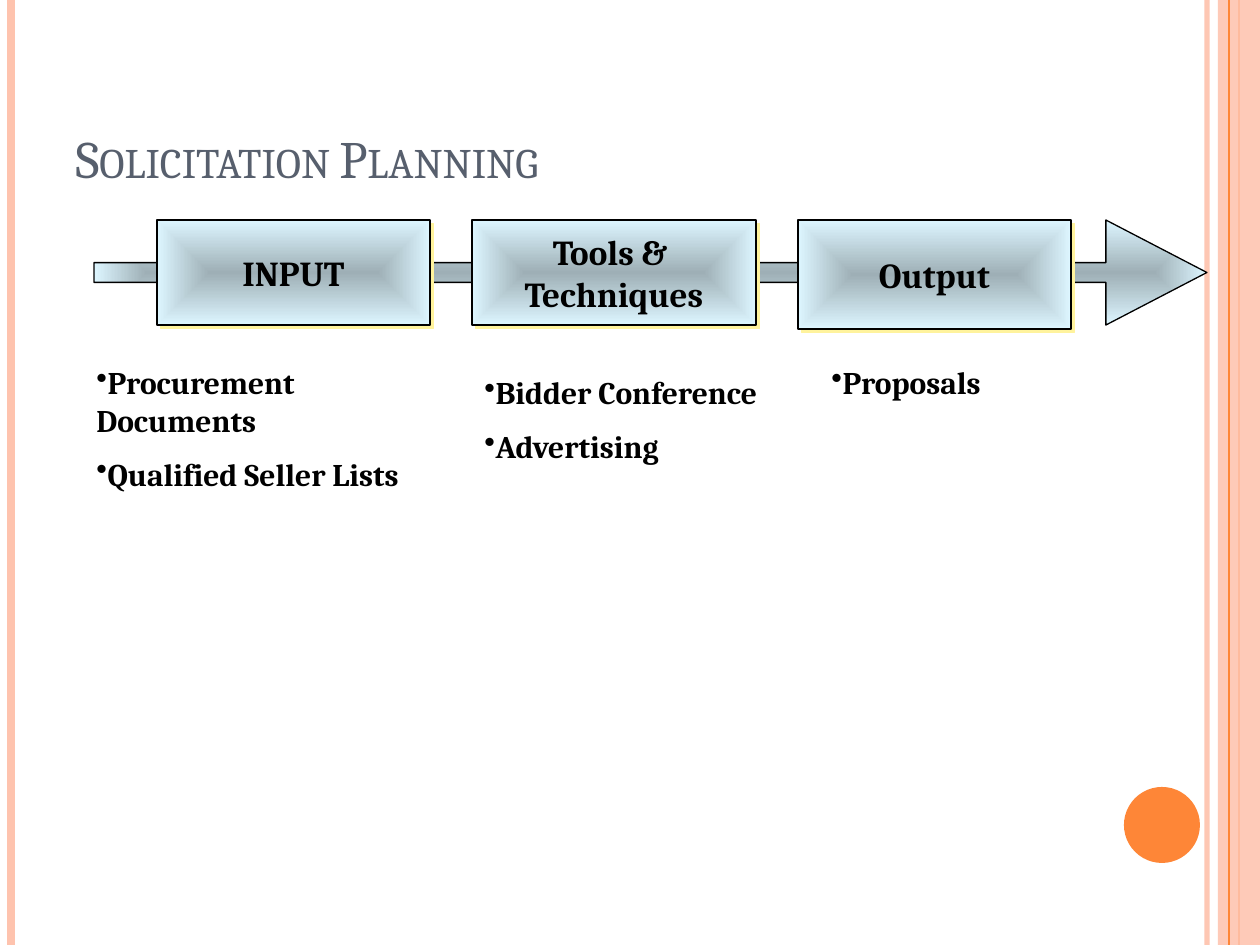
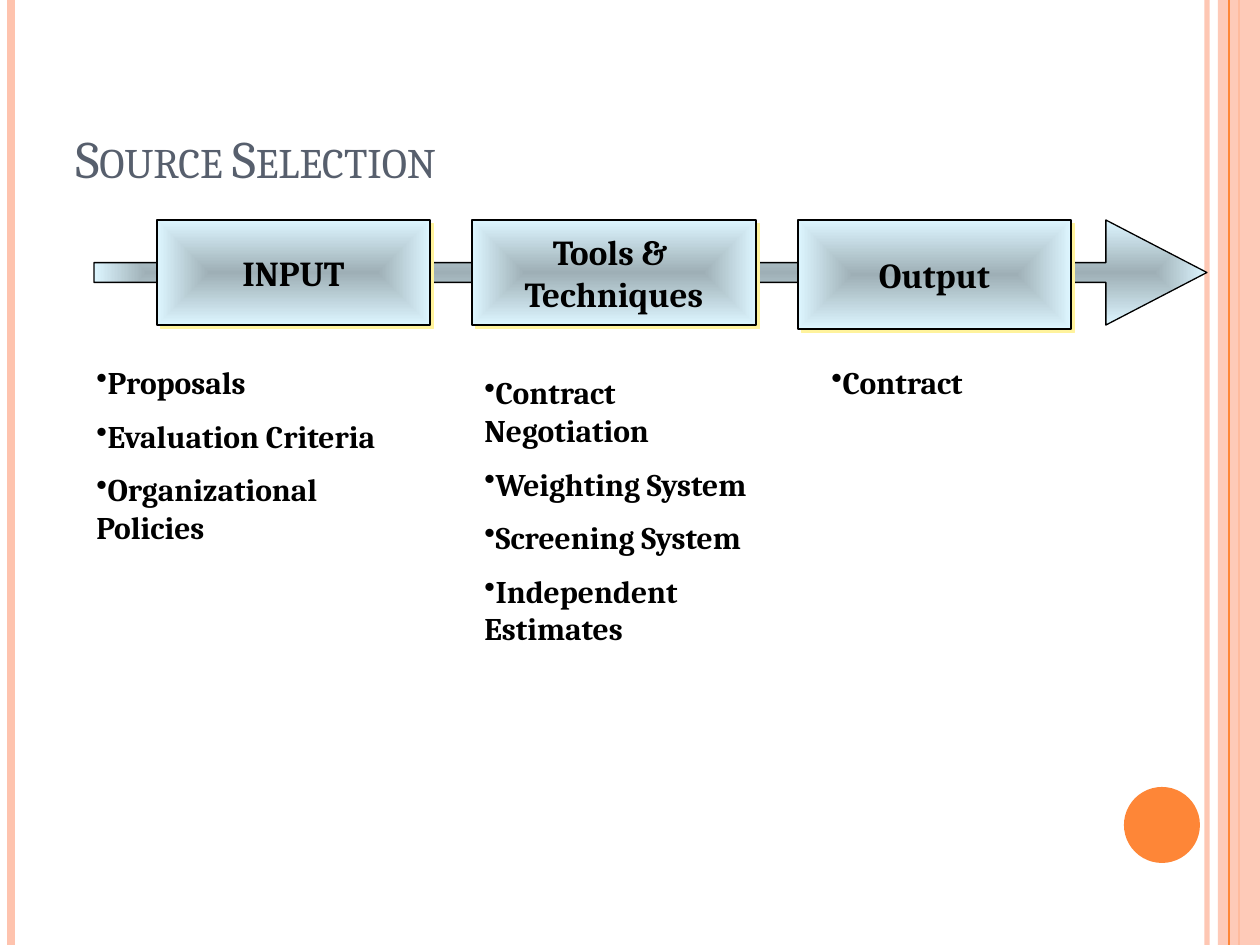
from lxml import etree
from pptx import Presentation
from pptx.dml.color import RGBColor
from pptx.enum.shapes import MSO_CONNECTOR as Connector, MSO_SHAPE as Shape
from pptx.enum.text import MSO_ANCHOR as Anchor, MSO_AUTO_SIZE as AutoSize, PP_ALIGN as Align
from pptx.oxml import parse_xml
from pptx.oxml.ns import nsdecls, qn
from pptx.util import Emu, Inches, Pt

PIXEL = 914400 // 126
PAGE_HEIGHT = 945
TITLE_ONLY = 5

PEACH = RGBColor(0xFE, 0xC3, 0xAE)
ORANGE = RGBColor(0xFE, 0x86, 0x37)
SLATE = RGBColor(0x57, 0x5F, 0x6D)
ICE = RGBColor(0xDD, 0xF6, 0xFF)
YELLOW = RGBColor(0xFF, 0xF3, 0x9D)
BLACK = RGBColor(0, 0, 0)

FONT = "Cambria"
TITLE_FORMAT = {"name": FONT, "size": Pt(30), "bold": False}
STAGE_FORMAT = {"name": FONT, "size": Pt(20), "bold": True}
LIST_FORMAT = {"name": FONT, "size": Pt(18), "bold": True}

TITLE_BOX = (63, 38, 1029, 157)
FLOW_BOX = (94, 220, 1113, 105)
LISTS_BOX = (84, 357, 1040, 300)

# Stage lines, offset from the flow box, width, height
STAGES = [
    (["INPUT"], 63, 273, 105),
    (["Tools & ", "Techniques"], 378, 284, 105),
    (["Output"], 704, 273, 109),
]
# Offset from the lists box (across, down), width
COLUMNS = [(0, 0, 347), (388, 10, 315), (735, 0, 305)]

PAGES = [
    ("Solicitation Planning", [
        ["Procurement Documents", "Qualified Seller Lists"],
        ["Bidder Conference", "Advertising"],
        ["Proposals"],
    ]),
    ("Source Selection", [
        ["Proposals", "Evaluation Criteria", "Organizational Policies"],
        ["Contract Negotiation", "Weighting System", "Screening System",
         "Independent Estimates"],
        ["Contract"],
    ]),
]


def scaled(*lengths):
    """Turn pixel lengths into EMU."""
    return [Emu(length * PIXEL) for length in lengths]


def set_format(font, values, color):
    """Apply a dict of format values and a colour to a font."""
    for name, value in values.items():
        setattr(font, name, value)
    font.color.rgb = color


def write_lines(frame, lines, values, color, align):
    """Write one paragraph a line and return the paragraphs."""
    for index, line in enumerate(lines):
        para = frame.add_paragraph() if index else frame.paragraphs[0]
        para.alignment = align
        span = para.add_run()
        span.text = line
        set_format(span.font, values, color)
    return frame.paragraphs


def set_alpha(element, percent):
    """Make the colour inside an element partly transparent."""
    color = next(element.iter(qn("a:srgbClr")))
    etree.SubElement(color, qn("a:alpha"), val=str(percent * 1000))


def add_block(page, kind, box, color):
    """Add a flat shape without outline."""
    block = page.shapes.add_shape(kind, *scaled(*box))
    block.shadow.inherit = False
    block.fill.solid()
    block.fill.fore_color.rgb = color
    block.line.fill.background()
    return block


def add_rule(page, x, color, width):
    """Add a vertical line over the whole page height."""
    rule = page.shapes.add_connector(Connector.STRAIGHT, *scaled(x, 0, x, PAGE_HEIGHT))
    rule.line.color.rgb = color
    rule.line.width = Pt(width)
    etree.SubElement(rule._element.spPr, qn("a:effectLst"))
    return rule


def add_steel(page, kind, box, path_kind):
    """Add an outlined shape that darkens towards its centre."""
    steel = page.shapes.add_shape(kind, *scaled(*box))
    steel.shadow.inherit = False
    steel.line.color.rgb = BLACK
    steel.line.width = Pt(0.75)
    steel.fill.gradient()
    properties = steel._element.spPr
    gradient = parse_xml(
        f'<a:gradFill {nsdecls("a")} rotWithShape="0"><a:gsLst>'
        f'<a:gs pos="0"><a:srgbClr val="{ICE}"><a:shade val="46275"/></a:srgbClr></a:gs>'
        f'<a:gs pos="100000"><a:srgbClr val="{ICE}"/></a:gs></a:gsLst>'
        f'<a:path path="{path_kind}">'
        '<a:fillToRect l="50000" t="50000" r="50000" b="50000"/></a:path></a:gradFill>')
    properties.replace(properties.find(qn("a:gradFill")), gradient)
    return steel


def add_frame(page):
    """Draw the bands, rules and disc that every page shares."""
    set_alpha(add_rule(page, 1207, PEACH, 3)._element.spPr, 93)
    add_rule(page, 11, PEACH, 4.5)
    add_rule(page, 1239, ORANGE, 1.5)
    band = add_block(page, Shape.RECTANGLE, (1218, 0, 42, PAGE_HEIGHT), PEACH)
    set_alpha(band._element.spPr, 87)
    add_rule(page, 1229, ORANGE, 0.75)
    add_block(page, Shape.OVAL, (1124, 787, 76, 76), ORANGE)


def add_title(page, box, text):
    """Place the title in small capitals at the bottom of its box."""
    title = page.shapes.title
    title.left, title.top, title.width, title.height = scaled(*box)
    frame = title.text_frame
    frame.vertical_anchor = Anchor.BOTTOM
    frame.auto_size = AutoSize.NONE
    para = write_lines(frame, [text], TITLE_FORMAT, SLATE, Align.LEFT)[0]
    para.runs[0].font._element.set("cap", "small")


def add_stage(page, box, lines):
    """Add one labelled stage with a hard yellow shadow."""
    stage = add_steel(page, Shape.RECTANGLE, box, "shape")
    effects = stage._element.spPr.find(qn("a:effectLst"))
    effects.append(parse_xml(
        f'<a:outerShdw {nsdecls("a")} dist="35921" dir="2700000" algn="ctr" '
        f'rotWithShape="0"><a:srgbClr val="{YELLOW}"/></a:outerShdw>'))
    frame = stage.text_frame
    frame.word_wrap = False
    frame.vertical_anchor = Anchor.MIDDLE
    write_lines(frame, lines, STAGE_FORMAT, BLACK, Align.CENTER)


def add_flow(page, box):
    """Draw the long arrow with the stages on top of it."""
    left, top, _, _ = box
    arrow = add_steel(page, Shape.RIGHT_ARROW, box, "rect")
    arrow.adjustments[0] = 0.188
    arrow.adjustments[1] = 0.962
    for lines, across, width, height in STAGES:
        add_stage(page, (left + across, top, width, height), lines)


def add_lists(page, box, lists):
    """Place a bulleted list under each stage."""
    left, top, _, height = box
    for (across, down, width), items in zip(COLUMNS, lists):
        column = page.shapes.add_textbox(
            *scaled(left + across, top + down, width, height - down))
        frame = column.text_frame
        frame.word_wrap = True
        frame.auto_size = AutoSize.SHAPE_TO_FIT_TEXT
        for para in write_lines(frame, items, LIST_FORMAT, BLACK, Align.LEFT):
            properties = para._element.get_or_add_pPr()
            spacing = etree.SubElement(properties, qn("a:spcBef"))
            etree.SubElement(spacing, qn("a:spcPct"), val="50000")
            etree.SubElement(properties, qn("a:buChar"), char="•")


def add_process_page(deck, title, lists):
    """Add one page with a title, the flow and its lists."""
    page = deck.slides.add_slide(deck.slide_layouts[TITLE_ONLY])
    add_frame(page)
    add_title(page, TITLE_BOX, title)
    add_flow(page, FLOW_BOX)
    add_lists(page, LISTS_BOX, lists)


deck = Presentation()
deck.slide_width, deck.slide_height = Inches(10), Inches(7.5)
for page_title, page_lists in PAGES:
    add_process_page(deck, page_title, page_lists)
deck.save("out.pptx")
